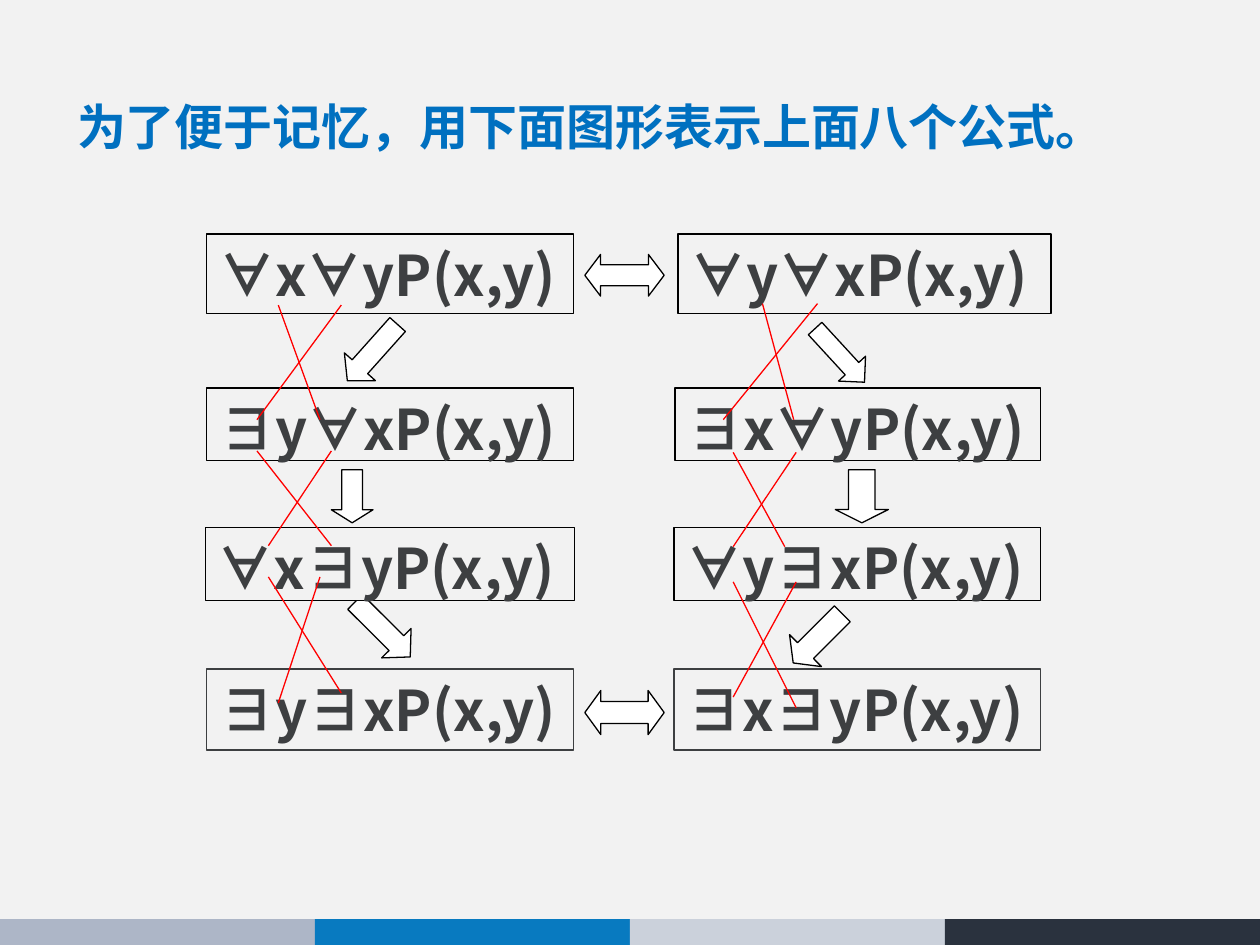
from lxml.etree import SubElement
from pptx import Presentation
from pptx.dml.color import RGBColor
from pptx.enum.shapes import MSO_CONNECTOR, MSO_SHAPE
from pptx.enum.text import MSO_ANCHOR, MSO_AUTO_SIZE, PP_ALIGN
from pptx.oxml.ns import qn
from pptx.util import Cm, Pt

PAPER = RGBColor(0xF2, 0xF2, 0xF2)
BLUE = RGBColor(0x00, 0x70, 0xC0)
INK = RGBColor(0x3D, 0x3F, 0x41)
BLACK = RGBColor(0x00, 0x00, 0x00)
WHITE = RGBColor(0xFF, 0xFF, 0xFF)
RED = RGBColor(0xFF, 0x00, 0x00)
FOOTER_COLOURS = (RGBColor(0xAD, 0xB6, 0xC7), RGBColor(0x08, 0x7A, 0xC0),
                  RGBColor(0xCB, 0xD1, 0xDB), RGBColor(0x2A, 0x32, 0x3E))
WIDTH, HEIGHT = 25.4, 19.05
FOOTER_HEIGHT = 0.52

# Row top and height, then formula, left and width for each column
FORMULA_ROWS = (
    (4.72, 1.6, (("∀x∀yP(x,y)", 4.17, 7.39), ("∀y∀xP(x,y)", 13.67, 7.52))),
    (7.82, 1.47, (("∃y∀xP(x,y)", 4.17, 7.39), ("∃x∀yP(x,y)", 13.61, 7.37))),
    (10.64, 1.47, (("∀x∃yP(x,y)", 4.14, 7.44), ("∀y∃xP(x,y)", 13.59, 7.39))),
    (13.49, 1.63, (("∃y∃xP(x,y)", 4.17, 7.39), ("∃x∃yP(x,y)", 13.59, 7.39))),
)
# Preset, left, top, width, height, head proportion, rotation
IMPLICATIONS = (
    (MSO_SHAPE.LEFT_RIGHT_ARROW, 11.79, 5.13, 1.6, 0.84, 0.378, 0),
    (MSO_SHAPE.LEFT_RIGHT_ARROW, 11.79, 13.92, 1.6, 0.89, 0.363, 0),
    (MSO_SHAPE.DOWN_ARROW, 6.68, 9.47, 0.84, 1.07, 0.312, 0),
    (MSO_SHAPE.DOWN_ARROW, 16.84, 9.47, 1.07, 1.07, 0.25, 0),
    (MSO_SHAPE.DOWN_ARROW, 16.56, 6.43, 0.74, 1.47, 0.501, 317.4),
    (MSO_SHAPE.DOWN_ARROW, 7.09, 6.35, 0.84, 1.52, 0.451, 41.8),
    (MSO_SHAPE.RIGHT_ARROW, 6.93, 12.27, 1.57, 0.84, 0.469, 44.9),
    (MSO_SHAPE.DOWN_ARROW, 16.03, 12.17, 0.91, 1.4, 0.385, 45),
)
# Upper and lower y of a crossing, then the x values of its two strands
CROSSINGS = (
    (6.15, (8.46, 8.46), ((6.88, 5.18), (5.61, 6.45))),
    (9.09, (11, 11), ((6.68, 5.41), (5.18, 6.68))),
    (11.63, (14.17, 13.97), ((6.45, 5.61), (5.41, 6.88))),
    (6.12, (8.46, 8.46), ((16.48, 14.58), (15.37, 16))),
    (9.12, (11.02, 11.02), ((16.05, 14.78), (14.78, 15.82))),
    (11.73, (14.05, 14.27), ((16.05, 14.78), (14.78, 16.05))),
)


def write(frame, text, size, colour, align=PP_ALIGN.JUSTIFY, before=None,
          spacing=None, font="Noto Sans CJK SC"):
    frame.word_wrap = True
    frame.auto_size = MSO_AUTO_SIZE.NONE
    frame.vertical_anchor = MSO_ANCHOR.TOP
    paragraph = frame.paragraphs[0]
    paragraph.alignment = align
    paragraph.space_before = before
    paragraph.line_spacing = spacing
    run = paragraph.add_run()
    run.text = text
    run.font.size = Pt(size)
    run.font.bold = True
    run.font.color.rgb = colour
    run.font.name = font
    SubElement(run.font._element, qn("a:ea")).set("typeface", font)


class SlideBuilder:
    def __init__(self, slide, line_width=0.75):
        self.slide = slide
        self.line_width = Pt(line_width)
        slide.background.fill.solid()
        slide.background.fill.fore_color.rgb = PAPER

    def title(self, text, left, top, width, height):
        heading = self.slide.shapes.title
        heading.left, heading.top = Cm(left), Cm(top)
        heading.width, heading.height = Cm(width), Cm(height)
        write(heading.text_frame, text, 28, BLUE, before=Pt(12), spacing=1.1)

    def shape(self, preset, left, top, width, height, fill=None, line=None):
        shape = self.slide.shapes.add_shape(
            preset, Cm(left), Cm(top), Cm(width), Cm(height))
        shape.shadow.inherit = False
        if fill is None:
            shape.fill.background()
        else:
            shape.fill.solid()
            shape.fill.fore_color.rgb = fill
        if line is None:
            shape.line.fill.background()
        else:
            shape.line.color.rgb = line
            shape.line.width = self.line_width
        return shape

    def formula(self, text, left, top, width, height, fill, line, align):
        box = self.shape(MSO_SHAPE.RECTANGLE, left, top, width, height, fill, line)
        write(box.text_frame, text, 32, INK, align=align)

    def arrow(self, preset, left, top, width, height, head, rotation):
        arrow = self.shape(preset, left, top, width, height, WHITE, BLACK)
        arrow.adjustments[0] = 0.5
        arrow.adjustments[1] = head
        arrow.rotation = rotation

    def strand(self, x1, y1, x2, y2):
        strand = self.slide.shapes.add_connector(
            MSO_CONNECTOR.STRAIGHT, Cm(x1), Cm(y1), Cm(x2), Cm(y2))
        strand.line.color.rgb = RED
        strand.line.width = self.line_width
        SubElement(strand._element.spPr, qn("a:effectLst"))


def main():
    deck = Presentation()
    deck.slide_width, deck.slide_height = Cm(WIDTH), Cm(HEIGHT)
    builder = SlideBuilder(deck.slides.add_slide(deck.slide_layouts[5]))

    band_width = WIDTH / len(FOOTER_COLOURS)
    for index, colour in enumerate(FOOTER_COLOURS):
        builder.shape(MSO_SHAPE.RECTANGLE, index * band_width,
                      HEIGHT - FOOTER_HEIGHT, band_width, FOOTER_HEIGHT, colour)

    builder.title("为了便于记忆，用下面图形表示上面八个公式。", 1.3, 1.7, 22.6, 15.04)

    for implication in IMPLICATIONS:
        builder.arrow(*implication)

    for row in FORMULA_ROWS:
        top, height, formulas = row
        if row is FORMULA_ROWS[-1]:
            fill, line, align = None, INK, PP_ALIGN.LEFT
        else:
            fill, line, align = PAPER, BLACK, PP_ALIGN.JUSTIFY
        for text, left, width in formulas:
            builder.formula(text, left, top, width, height, fill, line, align)

    for top, bottoms, strands in CROSSINGS:
        for bottom, (start, end) in zip(bottoms, strands):
            builder.strand(start, top, end, bottom)

    deck.save("out.pptx")


if __name__ == "__main__":
    main()
